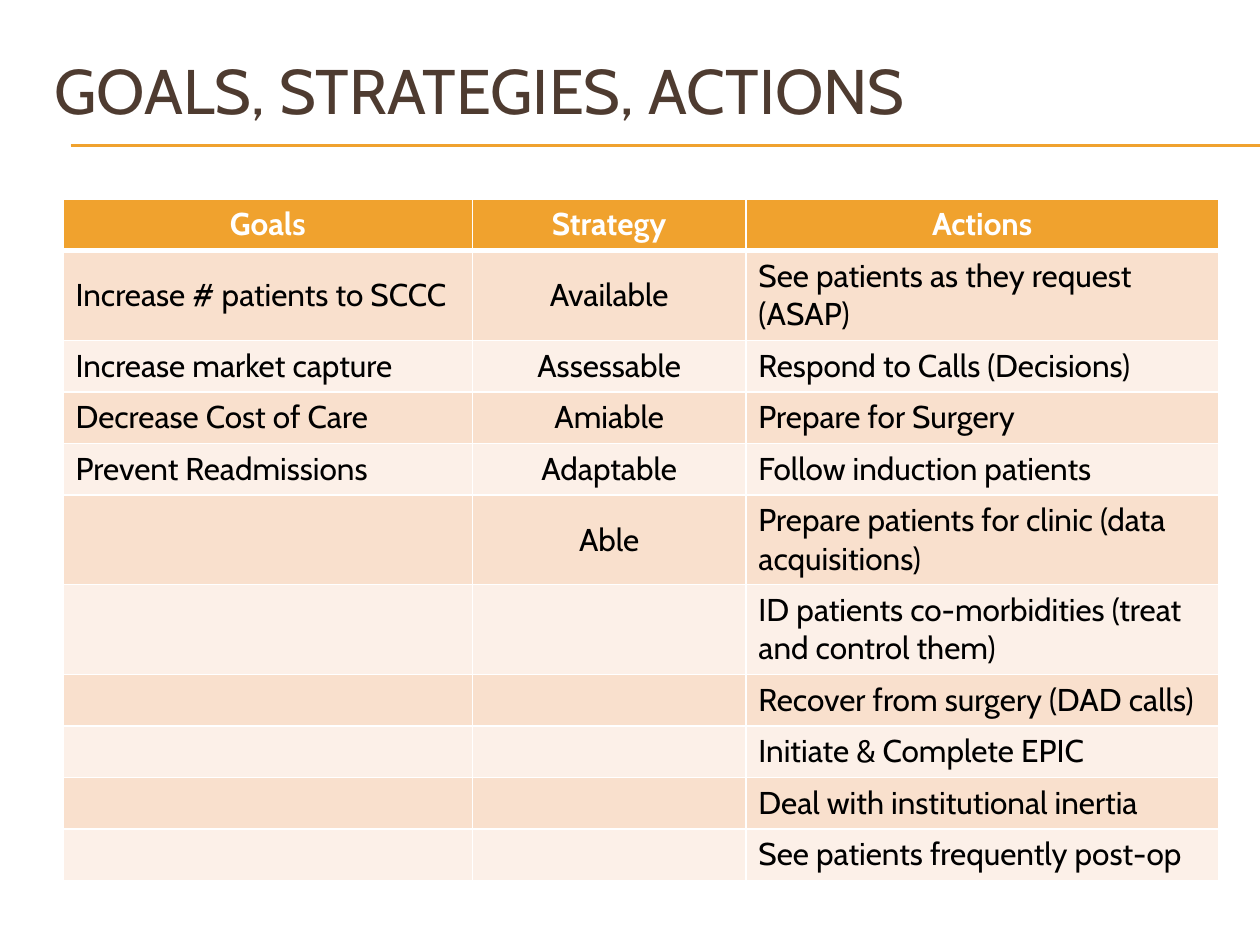
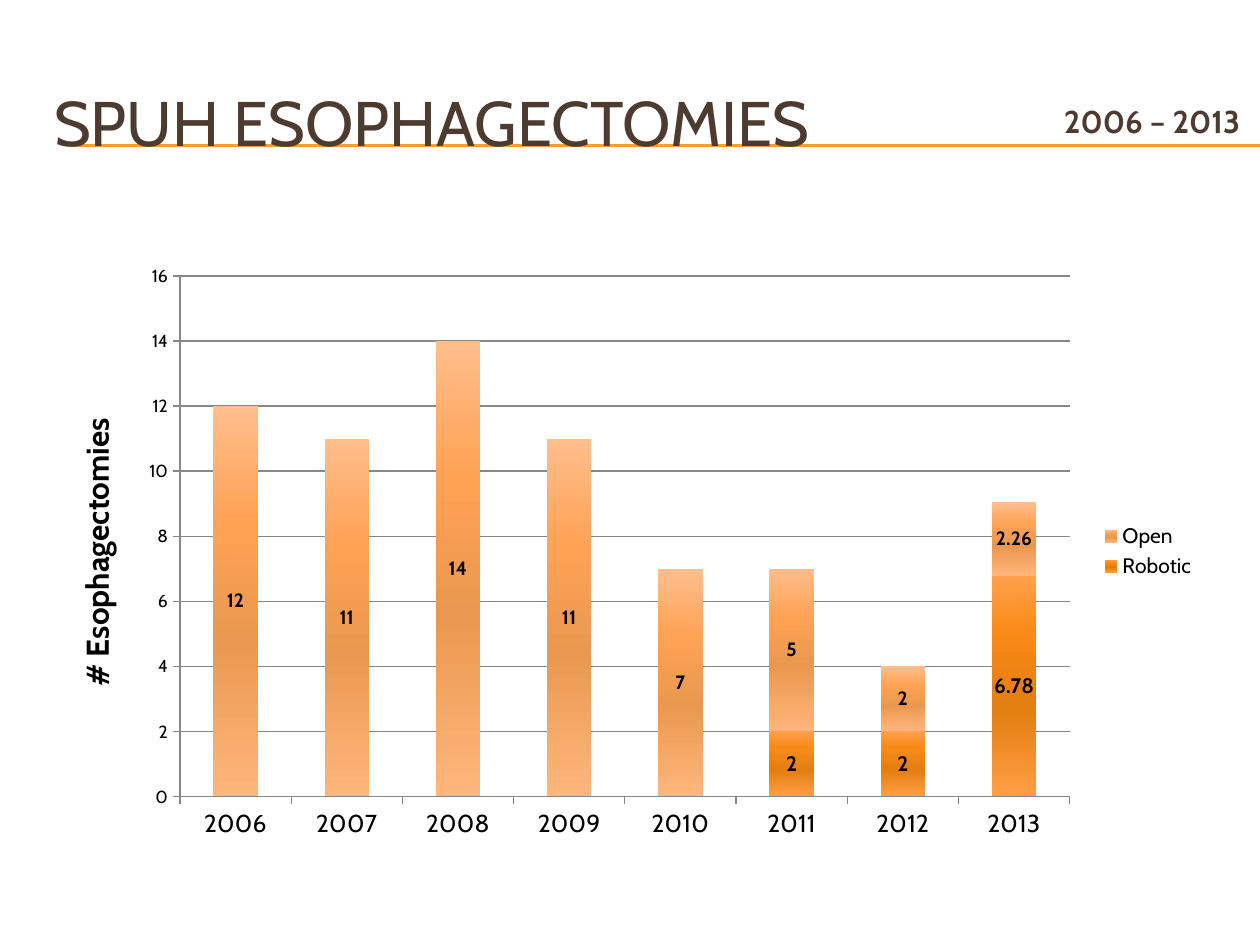
from lxml.etree import SubElement
from pptx import Presentation
from pptx.chart.data import CategoryChartData
from pptx.dml.color import RGBColor
from pptx.enum.chart import XL_CHART_TYPE, XL_LEGEND_POSITION, XL_TICK_MARK
from pptx.enum.shapes import MSO_CONNECTOR
from pptx.enum.text import MSO_ANCHOR, MSO_AUTO_SIZE, PP_ALIGN
from pptx.oxml import parse_xml
from pptx.oxml.ns import nsdecls, qn
from pptx.util import Inches, Pt

FONT = "Cabin"
HEX = {"gold": "F0A22E", "brown": "4E3B30", "black": "000000", "white": "FFFFFF",
       "peach": "F9E0CD", "cream": "FCF0E8", "gray": "888888"}
# Gradient stops from the top of a bar to its foot
SHADES = {"Robotic": {0: "FFA04A", 25: "F98A17", 60: "E37E10", 100: "FF9E45"},
          "Open": {0: "FFBE8C", 30: "FFA254", 60: "EA984F", 100: "FFB67C"}}

GOALS = ["Increase # patients to SCCC", "Increase market capture",
         "Decrease Cost of Care", "Prevent Readmissions"]
PLANS = ["Available", "Assessable", "Amiable", "Adaptable", "Able"]
ACTS = ["See patients as they request (ASAP)", "Respond to Calls (Decisions)",
        "Prepare for Surgery", "Follow induction patients",
        "Prepare patients for clinic (data acquisitions)",
        "ID patients co-morbidities (treat and control them)",
        "Recover from surgery (DAD calls)", "Initiate & Complete EPIC",
        "Deal with institutional inertia", "See patients frequently post-op"]

YEARS = [str(year) for year in range(2006, 2014)]
CASES = {"Robotic": [0, 0, 0, 0, 0, 2, 2, 6.78],
         "Open": [12, 11, 14, 11, 7, 5, 2, 2.26]}
LABEL = {"Robotic": 12, "Open": 11}


def rgb(name):
    return RGBColor.from_string(HEX[name])


def put(item, **values):
    for key, value in values.items():
        setattr(item, key, value)


def ink(font, size, color="black", bold=False):
    put(font, name=FONT, size=Pt(size), bold=bold)
    font.color.rgb = rgb(color)


class Deck:
    def __init__(self):
        self.file = Presentation()
        put(self.file, slide_width=Inches(10), slide_height=Inches(7.5))
        self.slide = None

    # Shared frame: title and double rule
    def page(self, title, top):
        self.slide = self.file.slides.add_slide(self.file.slide_layouts[5])
        for y in (1.15, 1.16):
            self.rule(0.56, y, 10)
        head = self.slide.shapes.title
        put(head, left=Inches(0.33), top=Inches(top),
            width=Inches(9.5), height=Inches(0.92))
        put(head.text_frame, auto_size=MSO_AUTO_SIZE.NONE, word_wrap=True,
            vertical_anchor=MSO_ANCHOR.MIDDLE)
        self.words(head.text_frame, title, 36, "brown")

    def rule(self, left, y, right):
        line = self.slide.shapes.add_connector(
            MSO_CONNECTOR.STRAIGHT, Inches(left), Inches(y), Inches(right), Inches(y))
        line.line.color.rgb = rgb("gold")
        line.line.width = Pt(0.75)
        SubElement(line._element.spPr, qn("a:effectLst"))
        # Keep the rule behind the title
        self.slide.shapes._spTree.insert(2, line._element)

    def words(self, frame, text, size, color="black", bold=False, align=PP_ALIGN.LEFT):
        part = frame.paragraphs[0]
        part.alignment = align
        if text:
            run = part.add_run()
            run.text = text
            ink(run.font, size, color, bold)
        else:
            ink(part.font, size, color, bold)

    def note(self, text, left, top, width, height):
        box = self.slide.shapes.add_textbox(*map(Inches, (left, top, width, height)))
        box.text_frame.word_wrap = True
        self.words(box.text_frame, text, 18, "brown", True, PP_ALIGN.RIGHT)

    # Table with a gold header and striped rows
    def table(self, heads, lists, left, top, widths, step):
        count = max(map(len, lists)) + 1
        grid = self.slide.shapes.add_table(
            count, len(heads), Inches(left), Inches(top),
            Inches(sum(widths)), Inches(step * count)).table
        for row in grid.rows:
            row.height = Inches(step)
        for col, (name, items, width) in enumerate(zip(heads, lists, widths)):
            grid.columns[col].width = Inches(width)
            last = col == len(heads) - 1
            for row in range(count):
                cell = grid.cell(row, col)
                if row == 0:
                    self.fill(cell, "gold", foot=3)
                    self.words(cell.text_frame, name, 18, "white", True, PP_ALIGN.CENTER)
                    continue
                self.fill(cell, "peach" if row % 2 else "cream", head=3 if row == 1 else 1)
                cell.vertical_anchor = MSO_ANCHOR.TOP if last else MSO_ANCHOR.MIDDLE
                text = items[row - 1] if row <= len(items) else ""
                self.words(cell.text_frame, text, 18,
                           align=PP_ALIGN.CENTER if col == 1 else PP_ALIGN.LEFT)

    def fill(self, cell, color, head=1, foot=1):
        props = cell._tc.get_or_add_tcPr()
        for side, width in zip("LRTB", (1, 1, head, foot)):
            edge = SubElement(props, qn(f"a:ln{side}"), w=str(int(Pt(width))))
            solid = SubElement(edge, qn("a:solidFill"))
            SubElement(solid, qn("a:srgbClr"), val=HEX["white"])
        cell.fill.solid()
        cell.fill.fore_color.rgb = rgb(color)

    # Stacked column chart
    def chart(self, cats, data, title, left, top, width, height):
        source = CategoryChartData()
        source.categories = cats
        for name, values in data.items():
            source.add_series(name, values)
        chart = self.slide.shapes.add_chart(
            XL_CHART_TYPE.COLUMN_STACKED,
            *map(Inches, (left, top, width, height)), source).chart
        put(chart, has_title=False, has_legend=True)
        ink(chart.font, 10)
        put(chart.legend, position=XL_LEGEND_POSITION.RIGHT, include_in_layout=False)
        ink(chart.legend.font, 12)
        self.axes(chart, title)
        plot = chart.plots[0]
        put(plot, gap_width=150, overlap=100, vary_by_categories=False)
        for series in plot.series:
            self.bars(series)
        self.place(chart, x=0.11, y=0.04, w=0.77, h=0.87)

    def axes(self, chart, title):
        cat, val = chart.category_axis, chart.value_axis
        for axis, size in ((cat, 14), (val, 10)):
            put(axis, major_tick_mark=XL_TICK_MARK.OUTSIDE,
                minor_tick_mark=XL_TICK_MARK.NONE)
            ink(axis.tick_labels.font, size)
            axis.format.line.color.rgb = rgb("gray")
        put(val, minimum_scale=0, maximum_scale=16, major_unit=2,
            has_major_gridlines=True)
        val.major_gridlines.format.line.color.rgb = rgb("gray")
        frame = val.axis_title.text_frame
        self.words(frame, title, 18, bold=True, align=PP_ALIGN.CENTER)
        frame._txBody.bodyPr.set("rot", "-5400000")

    def bars(self, series):
        stops = "".join(f'<a:gs pos="{pos * 1000}"><a:srgbClr val="{shade}"/></a:gs>'
                        for pos, shade in SHADES[series.name].items())
        series.format.fill.background()
        blank = series._element.spPr.find(qn("a:noFill"))
        blank.getparent().replace(blank, parse_xml(
            f'<a:gradFill {nsdecls("a")} rotWithShape="1"><a:gsLst>{stops}</a:gsLst>'
            '<a:lin ang="5400000" scaled="0"/></a:gradFill>'))
        labels = series.data_labels
        labels.show_value = True
        ink(labels.font, LABEL[series.name], bold=True)
        # Zero bars carry no label
        zeros = [spot for spot, value in enumerate(series.values) if value == 0]
        for order, spot in enumerate(zeros):
            labels._element.insert(order, parse_xml(
                f'<c:dLbl {nsdecls("c")}><c:idx val="{spot}"/><c:delete val="1"/></c:dLbl>'))

    def place(self, chart, **box):
        area = chart._chartSpace.chart.plotArea
        for old in area.findall(qn("c:layout")):
            area.remove(old)
        sizes = "".join(f'<c:{key} val="{value}"/>' for key, value in box.items())
        area.insert(0, parse_xml(
            f'<c:layout {nsdecls("c")}><c:manualLayout><c:layoutTarget val="inner"/>'
            f'<c:xMode val="edge"/><c:yMode val="edge"/>{sizes}'
            '</c:manualLayout></c:layout>'))


def main():
    deck = Deck()

    # Slide 1: goals table
    deck.page("GOALS, STRATEGIES, ACTIONS", 0.25)
    deck.table(["Goals", "Strategy", "Actions"], [GOALS, PLANS, ACTS],
               0.5, 1.58, [3.25, 2.17, 3.75], 0.41)

    # Slide 2: cases by year
    deck.page("SPUH ESOPHAGECTOMIES", 0.5)
    deck.note("2006 – 2013", 7.92, 0.76, 2.02, 0.4)
    deck.chart(YEARS, CASES, "# Esophagectomies", 0.42, 2, 9.17, 4.75)

    deck.file.save("out.pptx")


if __name__ == "__main__":
    main()
